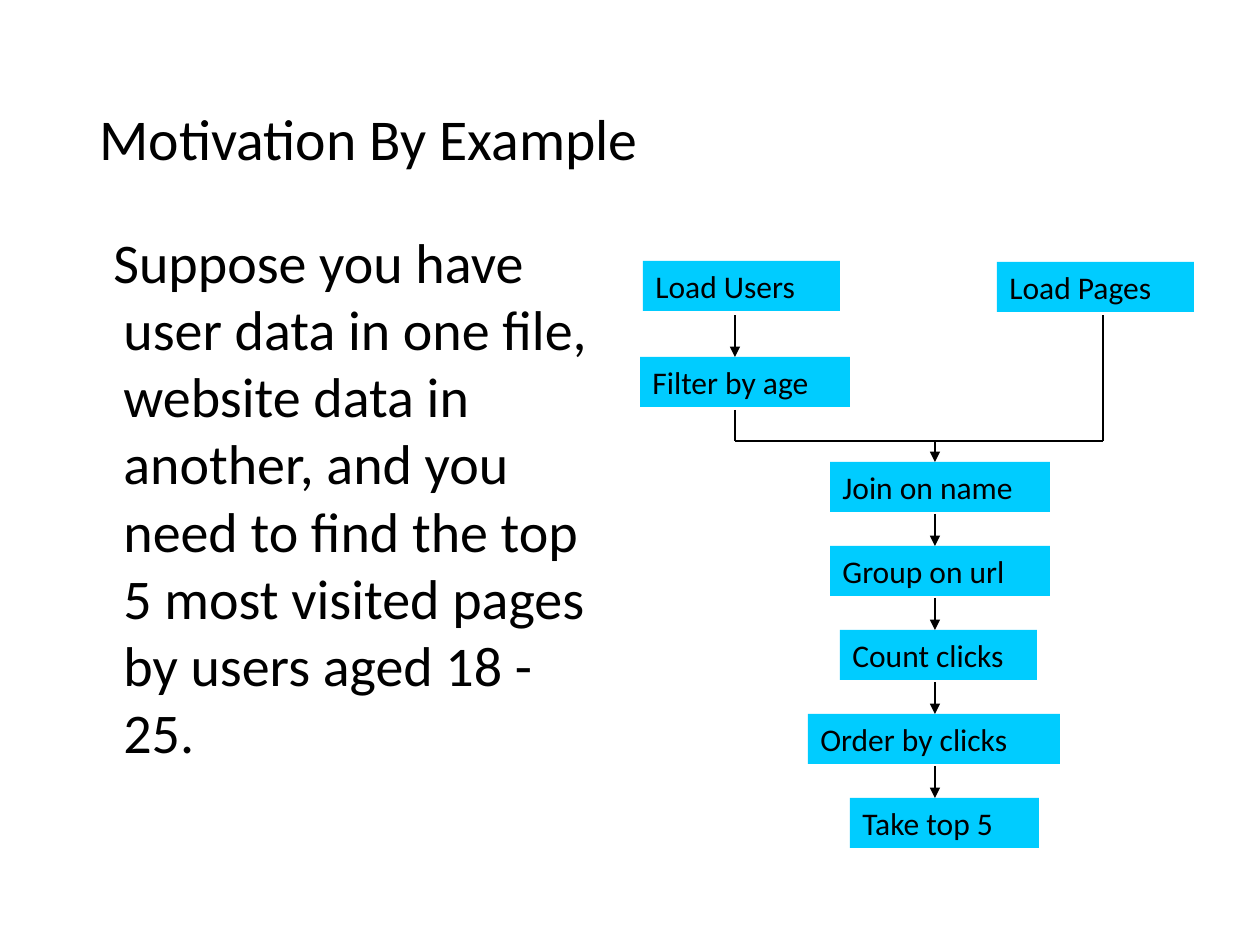
from lxml import etree
from pptx import Presentation
from pptx.dml.color import RGBColor
from pptx.enum import shapes, text
from pptx.oxml import ns
from pptx.util import Pt

PX = 914400 / 126
COLORS = {"ink": "000000", "step": "00CCFF"}
FONT = "Calibri"

ROW_TOP, ROW_PITCH, STEP_HEIGHT = 462, 84, 50
LEFT_X, MAIN_X, RIGHT_X = 735, 935, 1103
JOIN_Y = 441

# Label, left, top, width
SOURCE_STEPS = [
    ("Load Users", 643, 261, 197),
    ("Load Pages", 997, 262, 197),
    ("Filter by age", 640, 357, 210),
]
# Label, left, width
MAIN_STEPS = [
    ("Join on name", 830, 220),
    ("Group on url", 830, 220),
    ("Count clicks", 840, 197),
    ("Order by clicks", 808, 252),
    ("Take top 5", 850, 189),
]


def px(length):
    return round(length * PX)


def color(name):
    return RGBColor.from_string(COLORS[name])


def write(frame, words, size, anchor=text.MSO_ANCHOR.TOP):
    frame.word_wrap = True
    frame.vertical_anchor = anchor
    para = frame.paragraphs[0]
    para.alignment = text.PP_ALIGN.LEFT
    span = para.add_run()
    span.text = words
    span.font.size = Pt(size)
    span.font.name = FONT
    span.font.color.rgb = color("ink")
    return para


def add_text(page, words, size, left, top, width, height, anchor=text.MSO_ANCHOR.TOP):
    box = page.shapes.add_textbox(px(left), px(top), px(width), px(height))
    return write(box.text_frame, words, size, anchor)


def add_step(page, label, left, top, width):
    box = page.shapes.add_shape(
        shapes.MSO_SHAPE.RECTANGLE, px(left), px(top), px(width), px(STEP_HEIGHT))
    box.shadow.inherit = False
    box.fill.solid()
    box.fill.fore_color.rgb = color("step")
    box.line.fill.background()
    write(box.text_frame, label, 18)


def add_line(page, x1, y1, x2, y2, arrow=False):
    line = page.shapes.add_connector(
        shapes.MSO_CONNECTOR.STRAIGHT, px(x1), px(y1), px(x2), px(y2))
    line.line.color.rgb = color("ink")
    line.line.width = Pt(0.75)
    if arrow:
        etree.SubElement(line.line._get_or_add_ln(), ns.qn("a:tailEnd"), type="triangle")
    etree.SubElement(line._element.spPr, ns.qn("a:effectLst"))


def main():
    deck = Presentation()
    deck.slide_width, deck.slide_height = px(1260), px(945)
    page = deck.slides.add_slide(deck.slide_layouts[6])

    # Title and hanging body paragraph
    title = add_text(page, "Motivation By Example", 33, 87, 50, 1086, 183,
                     text.MSO_ANCHOR.MIDDLE)
    title.line_spacing = 0.9
    body = add_text(
        page,
        "Suppose you have user data in one file, website data in another, and you "
        "need to find the top 5 most visited pages by users aged 18 - 25.",
        32, 63, 221, 557, 624)
    layout = body._p.get_or_add_pPr()
    layout.set("marL", str(px(48)))
    layout.set("indent", str(px(-10)))

    # Steps of the two sources and of the main flow
    for label, left, top, width in SOURCE_STEPS:
        add_step(page, label, left, top, width)
    for row, (label, left, width) in enumerate(MAIN_STEPS):
        top = ROW_TOP + row * ROW_PITCH
        add_step(page, label, left, top, width)
        if row:
            add_line(page, MAIN_X, top - 32, MAIN_X, top, arrow=True)

    # Lines that bring both sources to the join
    add_line(page, LEFT_X, 315, LEFT_X, 357, arrow=True)
    add_line(page, LEFT_X, 410, LEFT_X, JOIN_Y)
    add_line(page, LEFT_X, JOIN_Y, RIGHT_X, JOIN_Y)
    add_line(page, RIGHT_X, JOIN_Y, RIGHT_X, 315)
    add_line(page, MAIN_X, JOIN_Y, MAIN_X, ROW_TOP, arrow=True)

    deck.save("out.pptx")


if __name__ == "__main__":
    main()
